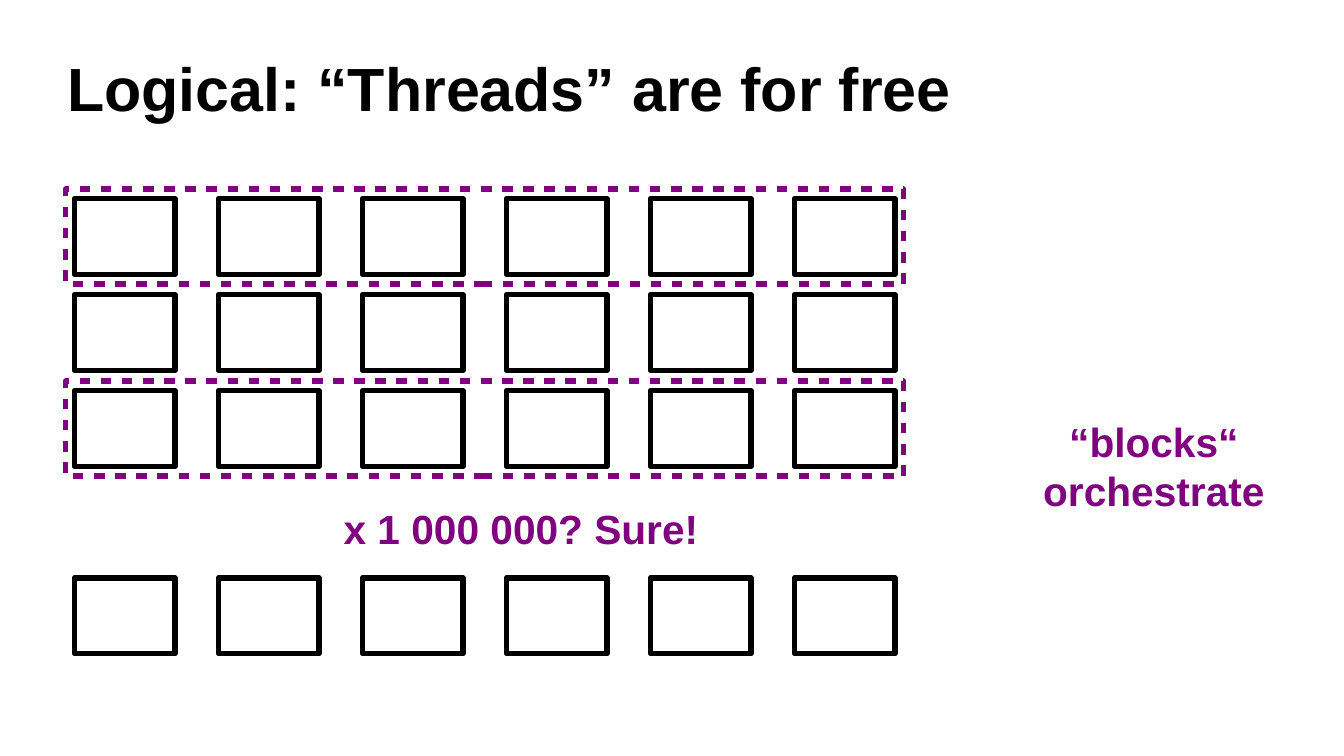
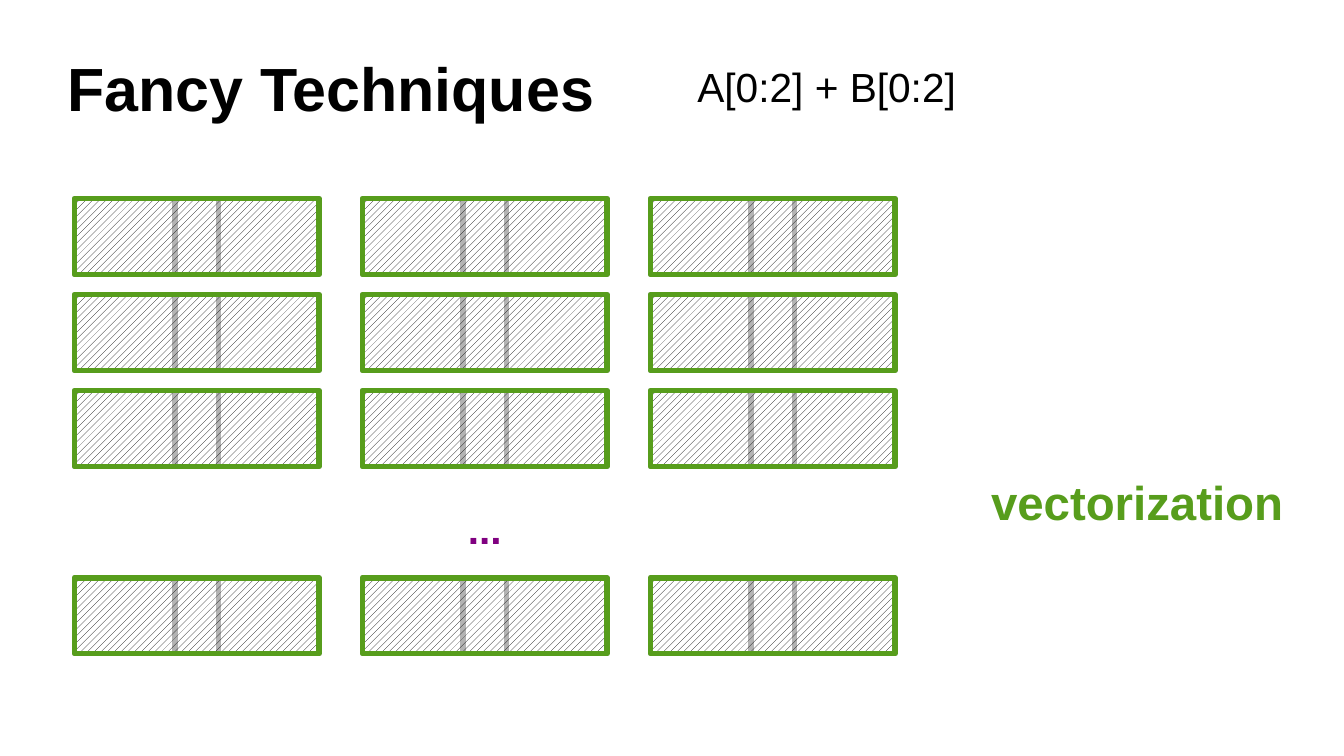
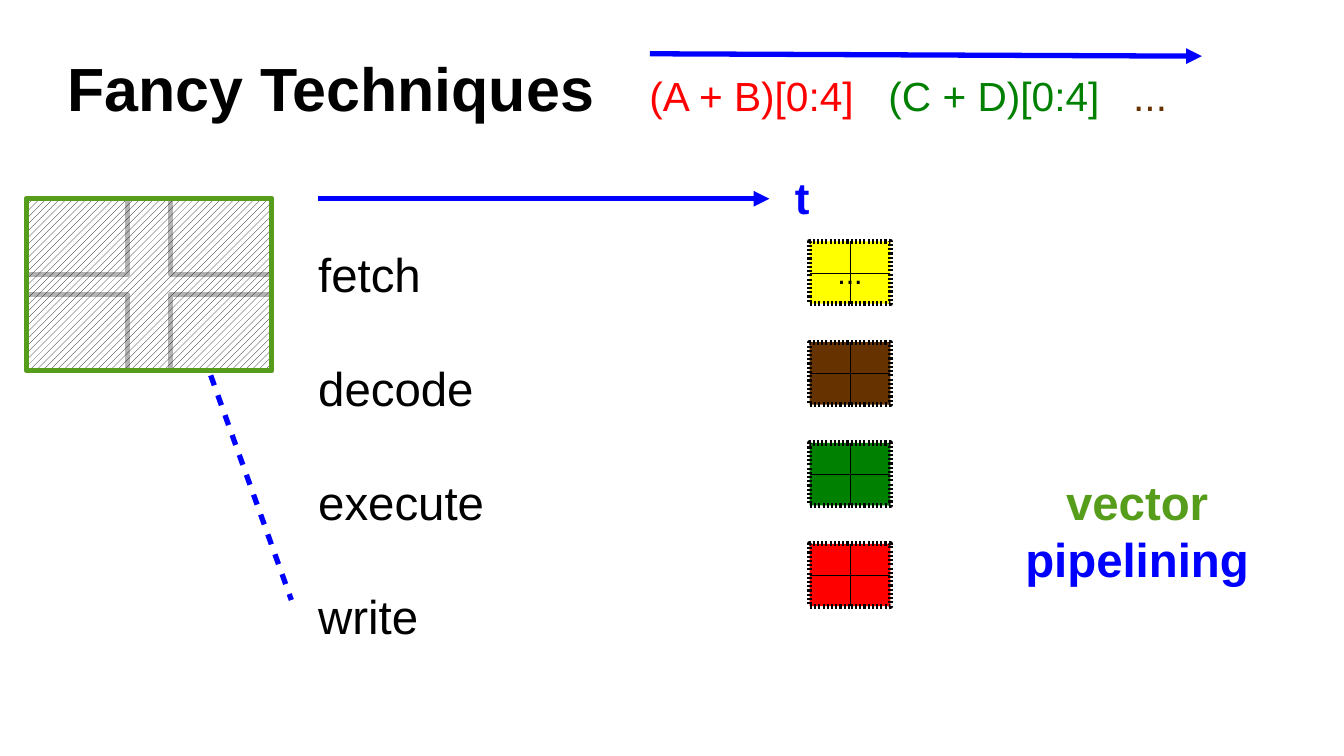
from dataclasses import dataclass
from typing import Any, Optional, Sequence, Union

import pptx
import pptx.dml.color
import pptx.enum.dml
import pptx.enum.shapes
import pptx.enum.text
import pptx.oxml.ns
import pptx.util
from lxml import etree

Cm = pptx.util.Cm
Pt = pptx.util.Pt
Align = pptx.enum.text.PP_ALIGN
Anchor = pptx.enum.text.MSO_ANCHOR
qn = pptx.oxml.ns.qn


@dataclass(frozen=True)
class Theme:
    font: str = "Arial"
    black: str = "000000"
    white: str = "FFFFFF"
    gray: str = "B3B3B3"
    purple: str = "800080"
    leaf: str = "579D1C"
    blue: str = "0000FF"
    red: str = "FF0000"
    green: str = "008000"
    brown: str = "663300"
    yellow: str = "FFFF00"
    title: float = 36
    large: float = 28
    axis: float = 26
    label: float = 24
    small: float = 18
    stroke: float = 3.12
    hairline: float = 0.1
    dashed: int = 200
    dotted: int = 40


@dataclass(frozen=True)
class Box:
    left: float
    top: float
    width: float
    height: float

    def grown(self, dx: float, dy: float) -> "Box":
        return Box(self.left - dx, self.top - dy, self.width + 2 * dx, self.height + 2 * dy)

    def lengths(self) -> list[int]:
        return [Cm(value) for value in (self.left, self.top, self.width, self.height)]


@dataclass(frozen=True)
class Span:
    text: str
    color: str


@dataclass(frozen=True)
class Stage:
    color: str
    caption: str = ""


THEME = Theme()
STEP_X, STEP_Y = 3.0, 2.0
CELL_W, CELL_H = 2.1, 1.58
GRID_LEFT = 1.55
PAIR_W = STEP_X + CELL_W
ROW_TOPS = [4.14, 6.14, 8.14, 12.04]
COLUMNS = 6
STAGES = [Stage(THEME.yellow, "..."), Stage(THEME.brown), Stage(THEME.green), Stage(THEME.red)]


def rgb(color: str) -> pptx.dml.color.RGBColor:
    return pptx.dml.color.RGBColor.from_string(color)


def write(frame: Any, text: Union[str, Sequence[Span]], *, size: float,
          color: str = THEME.black, bold: bool = False, align: Any = Align.LEFT,
          anchor: Any = Anchor.TOP, inset: tuple[float, float] = (0.25, 0.13),
          wrap: bool = False, gap: float = 0, tabs: Sequence[float] = ()) -> None:
    frame.word_wrap = wrap
    frame.vertical_anchor = anchor
    frame.margin_left = frame.margin_right = Cm(inset[0])
    frame.margin_top = frame.margin_bottom = Cm(inset[1])
    if isinstance(text, str):
        lines = [[Span(line, color)] for line in text.split("\n")]
    else:
        lines = [list(text)]
    for index, spans in enumerate(lines):
        paragraph = frame.add_paragraph() if index else frame.paragraphs[0]
        paragraph.alignment = align
        if index and gap:
            paragraph.space_before = Pt(gap)
        if tabs:
            stops = etree.SubElement(paragraph._p.get_or_add_pPr(), qn("a:tabLst"))
            for position in tabs:
                etree.SubElement(stops, qn("a:tab"), pos=str(Cm(position)), algn="l")
        for span in spans:
            run = paragraph.add_run()
            run.text = span.text
            run.font.name = THEME.font
            run.font.size = Pt(size)
            run.font.bold = bold
            run.font.color.rgb = rgb(span.color)


def add_text(slide: Any, box: Box, text: Union[str, Sequence[Span]], **style: Any) -> None:
    write(slide.shapes.add_textbox(*box.lengths()).text_frame, text, **style)


def style_line(line: Any, color: str, width: float, dash: int) -> None:
    line.color.rgb = rgb(color)
    line.width = Pt(width)
    if dash:
        pattern = etree.SubElement(line._get_or_add_ln(), qn("a:custDash"))
        percent = str(dash * 1000)
        etree.SubElement(pattern, qn("a:ds"), d=percent, sp=percent)


def add_rect(slide: Any, box: Box, *, line: str, fill: Optional[str] = None,
             dash: int = 0) -> Any:
    rect = slide.shapes.add_shape(pptx.enum.shapes.MSO_SHAPE.RECTANGLE, *box.lengths())
    rect.shadow.inherit = False
    if fill is None:
        rect.fill.background()
    else:
        rect.fill.solid()
        rect.fill.fore_color.rgb = rgb(fill)
    style_line(rect.line, line, THEME.stroke, dash)
    return rect


def add_hatched(slide: Any, box: Box) -> None:
    rect = add_rect(slide, box, line=THEME.leaf)
    rect.fill.patterned()
    rect.fill.pattern = pptx.enum.dml.MSO_PATTERN.WIDE_UPWARD_DIAGONAL
    rect.fill.fore_color.rgb = rgb(THEME.black)
    rect.fill.back_color.rgb = rgb(THEME.white)
    background = rect._element.spPr.find(".//" + qn("a:bgClr"))
    etree.SubElement(background[0], qn("a:alpha"), val="0")


def add_line(slide: Any, start: tuple[float, float], end: tuple[float, float], *,
             color: str = THEME.blue, width: float = THEME.stroke, dash: int = 0,
             arrow: bool = False) -> None:
    connector = slide.shapes.add_connector(
        pptx.enum.shapes.MSO_CONNECTOR.STRAIGHT, *[Cm(value) for value in (*start, *end)])
    style_line(connector.line, color, width, dash)
    if arrow:
        etree.SubElement(connector.line._get_or_add_ln(), qn("a:tailEnd"), type="triangle")
    etree.SubElement(connector._element.spPr, qn("a:effectLst"))


def add_cells(slide: Any, left: float, tops: Sequence[float], columns: int, line: str) -> None:
    for top in tops:
        for column in range(columns):
            cell = Box(left + column * STEP_X, top, CELL_W, CELL_H)
            add_rect(slide, cell, line=line, fill=THEME.white)


def new_slide(deck: Any, title: str) -> Any:
    slide = deck.slides.add_slide(deck.slide_layouts[6])
    add_text(slide, Box(1.4, 1.11, 25.2, 1.42), title, size=THEME.title, bold=True,
             anchor=Anchor.MIDDLE, inset=(0, 0), wrap=True)
    return slide


def add_technique(slide: Any, text: Union[str, Sequence[Span]], height: float) -> None:
    add_text(slide, Box(20.45, 9.86, 6.48, height), text, size=THEME.large,
             color=THEME.leaf, bold=True, align=Align.CENTER, inset=(0, 0), wrap=True)


def build_threads(deck: Any) -> None:
    slide = new_slide(deck, "Logical: “Threads” are for free")
    add_cells(slide, GRID_LEFT, ROW_TOPS, COLUMNS, THEME.black)
    add_text(slide, Box(6.91, 10.37, 7.9, 1.19), "x 1 000 000? Sure!",
             size=THEME.label, color=THEME.purple, bold=True)
    add_text(slide, Box(21.04, 8.56, 6, 2.26), "“blocks“\norchestrate",
             size=THEME.label, color=THEME.purple, bold=True, align=Align.CENTER, wrap=True)
    row_width = (COLUMNS - 1) * STEP_X + CELL_W
    for top in (ROW_TOPS[0], ROW_TOPS[2]):
        block = Box(GRID_LEFT, top, row_width, CELL_H).grown(0.18, 0.2)
        add_rect(slide, block, line=THEME.purple, dash=THEME.dashed)


def build_vectorization(deck: Any) -> None:
    slide = new_slide(deck, "Fancy Techniques")
    add_technique(slide, "vectorization", 1.45)
    add_cells(slide, GRID_LEFT, ROW_TOPS, COLUMNS, THEME.gray)
    for top in ROW_TOPS:
        for pair in range(COLUMNS // 2):
            add_hatched(slide, Box(GRID_LEFT + pair * 2 * STEP_X, top, PAIR_W, CELL_H))
    add_text(slide, Box(9.5, 10.37, 1.22, 1.19), "...",
             size=THEME.label, color=THEME.purple, bold=True)
    add_text(slide, Box(14.28, 1.16, 5.89, 1.19), "A[0:2] + B[0:2]", size=THEME.label)


def build_pipelining(deck: Any) -> None:
    slide = new_slide(deck, "Fancy Techniques")
    add_technique(slide, [Span("vector ", THEME.leaf), Span("pipelining", THEME.blue)], 4.04)
    add_line(slide, (4.39, 7.82), (6.07, 12.5), dash=THEME.dashed)
    add_line(slide, (6.63, 4.14), (16.03, 4.14), arrow=True)
    add_text(slide, Box(16.31, 3.43, 0.81, 1.27), "t",
             size=THEME.axis, color=THEME.blue, bold=True)
    add_line(slide, (13.54, 1.12), (25.04, 1.17), arrow=True)
    operations = [Span("(A + B)[0:4]\t", THEME.red), Span("(C + D)[0:4]\t", THEME.green),
                  Span("...", THEME.brown)]
    add_text(slide, Box(13.28, 1.35, 12.32, 2.13), operations,
             size=THEME.label, wrap=True, tabs=(4.98, 10.08))
    add_text(slide, Box(6.38, 4.98, 3.96, 7.95), "fetch\ndecode\nexecute\nwrite",
             size=THEME.large, gap=33.6)

    stage_boxes = [Box(16.87, 5.03 + index * 2.1, 1.68, 1.3) for index in range(len(STAGES))]
    for stage, box in zip(STAGES, stage_boxes):
        square = add_rect(slide, box, line=THEME.black, fill=stage.color, dash=THEME.dotted)
        if stage.caption:
            write(square.text_frame, stage.caption, size=THEME.small, align=Align.CENTER,
                  anchor=Anchor.MIDDLE, inset=(0.3, 0.18))
    for box in stage_boxes:
        middle_x, middle_y = box.left + box.width / 2, box.top + box.height / 2
        add_line(slide, (box.left, middle_y), (box.left + box.width, middle_y),
                 color=THEME.black, width=THEME.hairline)
        add_line(slide, (middle_x, box.top), (middle_x, box.top + box.height),
                 color=THEME.black, width=THEME.hairline)

    unit_left = 0.56
    add_cells(slide, unit_left, ROW_TOPS[:2], 2, THEME.gray)
    add_hatched(slide, Box(unit_left, ROW_TOPS[0], PAIR_W, STEP_Y + CELL_H))


def main() -> None:
    deck = pptx.Presentation()
    deck.slide_width, deck.slide_height = Cm(28), Cm(15.75)
    build_threads(deck)
    build_vectorization(deck)
    build_pipelining(deck)
    deck.save("out.pptx")


if __name__ == "__main__":
    main()
